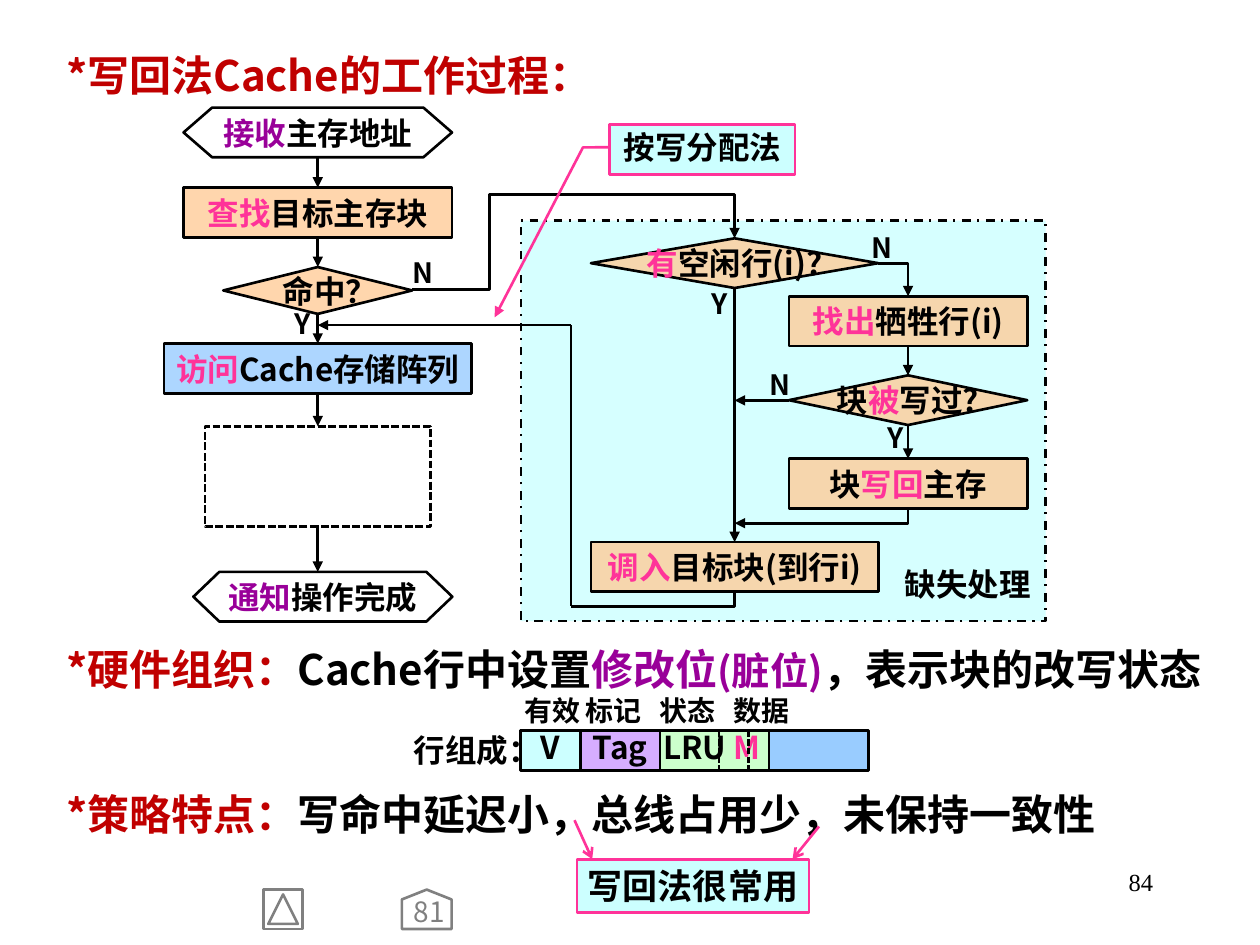
from lxml import etree
from pptx import Presentation
from pptx.dml.color import RGBColor
from pptx.enum import dml, shapes, text
from pptx.oxml.ns import qn
from pptx.util import Pt

SANS, SERIF = "Noto Sans CJK SC", "Times New Roman"
BLACK, RED, PINK, PURPLE, GREY = "000000", "C00000", "FF3399", "990099", "808080"
PEACH, CYAN, BLUE = "FFCC99", "CCFFFF", "99CCFF"
KIND, DASH, ALIGN, ANCHOR = (shapes.MSO_SHAPE, dml.MSO_LINE, text.PP_ALIGN,
                             text.MSO_ANCHOR)
TIGHT = (1.8, 0.9, 1.8, 0.9)
NORMAL = (7.2, 3.6, 7.2, 3.6)

# Shared centre lines and levels of the flowchart
HIT_X, LOAD_X, VICTIM_X = 181.6, 419.8, 518.9
RETURN_X, RETURN_Y, STEP_H = 326.3, 185.8, 28.4


def colour(value):
    return RGBColor.from_string(value)


def child(parent, tag, **attributes):
    return etree.SubElement(parent, qn(tag), attributes)


def write(holder, runs, size=18, align=ALIGN.CENTER, spacing=None, font=SANS,
          bold=True, insets=TIGHT, anchor=ANCHOR.MIDDLE, wrap=True,
          indent=None, tabs=()):
    """Fill a holder with one paragraph; runs are (text, colour[, size])."""
    frame = holder.text_frame
    frame.auto_size = text.MSO_AUTO_SIZE.NONE
    frame.word_wrap, frame.vertical_anchor = wrap, anchor
    (frame.margin_left, frame.margin_top,
     frame.margin_right, frame.margin_bottom) = map(Pt, insets)
    paragraph = frame.paragraphs[0]
    paragraph.alignment, paragraph.space_before = align, Pt(0)
    if spacing:
        paragraph.line_spacing = spacing
    properties = paragraph._p.get_or_add_pPr()
    if indent is not None:
        properties.set("marL", "0")
        properties.set("indent", str(Pt(indent)))
        child(properties, "a:buNone")
    if tabs:
        stops = child(properties, "a:tabLst")
        for stop in tabs:
            child(stops, "a:tab", pos=str(Pt(stop)), algn="l")
    paragraph.font.name, paragraph.font.size = font, Pt(size)
    paragraph.font.bold = bold
    child(paragraph.font._rPr, "a:ea", typeface=SANS)
    for words, tint, *own_size in runs:
        run = paragraph.add_run()
        run.text = words
        run.font.color.rgb = colour(tint)
        if own_size:
            run.font.size = Pt(own_size[0])


def heading(holder, top, width, runs):
    holder.left, holder.top, holder.width, holder.height = map(
        Pt, (14.4, top, width, 44))
    write(holder, runs, size=24, align=ALIGN.LEFT, spacing=1.25,
          insets=NORMAL, anchor=ANCHOR.TOP, indent=16.2)


def label(slide, left, top, width, height, words, size=16, tint=BLACK, **style):
    holder = slide.shapes.add_textbox(*map(Pt, (left, top, width, height)))
    write(holder, [(words, tint)], size=size, **style)


def box(slide, kind, left, top, width, height, fill=None, opacity=100,
        line=BLACK, weight=1.5, dash=None, runs=(), **style):
    shape = slide.shapes.add_shape(kind, *map(Pt, (left, top, width, height)))
    shape.shadow.inherit = False
    if fill:
        shape.fill.solid()
        shape.fill.fore_color.rgb = colour(fill)
        if opacity < 100:
            tint = shape.fill._xPr.find(qn("a:solidFill"))[0]
            child(tint, "a:alpha", val=str(opacity * 1000))
    else:
        shape.fill.background()
    shape.line.color.rgb, shape.line.width = colour(line), Pt(weight)
    if dash:
        shape.line.dash_style = dash
    if runs:
        write(shape, runs, **style)
    return shape


def step(slide, centre, top, width, runs, fill=PEACH, kind=KIND.RECTANGLE,
         height=STEP_H, opacity=80, **style):
    return box(slide, kind, centre - width / 2, top, width, height, fill,
               opacity, runs=runs, **style)


def decision(slide, centre, top, width, runs, **style):
    step(slide, centre, top, width, runs, kind=KIND.FLOWCHART_DECISION,
         insets=NORMAL, wrap=False, **style)


def terminal(slide, centre, top, width, runs, corner):
    shape = step(slide, centre, top, width, runs, fill=None, kind=KIND.HEXAGON,
                 insets=NORMAL, wrap=False)
    shape.adjustments[0] = corner


def arrow(slide, x1, y1, x2, y2, head="triangle", tint=BLACK, weight=1.5,
          dash=None, kind=shapes.MSO_CONNECTOR.STRAIGHT):
    connector = slide.shapes.add_connector(kind, *map(Pt, (x1, y1, x2, y2)))
    connector.line.color.rgb, connector.line.width = colour(tint), Pt(weight)
    if dash:
        connector.line.dash_style = dash
    if head:
        child(connector.line._get_or_add_ln(), "a:tailEnd", type=head)
    child(connector._element.spPr, "a:effectLst")
    return connector


def elbow(slide, x1, y1, x2, y2, preset="bentConnector2", turn=0, bends=(),
          head="triangle"):
    """Bent connector; a quarter turn swaps its unrotated sides."""
    if turn:
        cx, cy = (x1 + x2) / 2, (y1 + y2) / 2
        half_w, half_h = abs(y2 - y1) / 2, abs(x2 - x1) / 2
        x1, y1, x2, y2 = cx - half_w, cy - half_h, cx + half_w, cy + half_h
    connector = arrow(slide, x1, y1, x2, y2, head,
                      kind=shapes.MSO_CONNECTOR.ELBOW)
    properties = connector._element.spPr
    if turn:
        properties.find(qn("a:xfrm")).set("rot", str(turn * 60000))
    geometry = properties.find(qn("a:prstGeom"))
    geometry.set("prst", preset)
    guides = geometry.find(qn("a:avLst"))
    for number, bend in enumerate(bends, 1):
        child(guides, "a:gd", name=f"adj{number}",
              fmla=f"val {round(bend * 100000)}")


def miss_handling(slide):
    box(slide, KIND.RECTANGLE, 297.5, 126, 300, 229, CYAN, 80, weight=1.25,
        dash=DASH.DASH_DOT)
    decision(slide, LOAD_X, 136.2, 164.2, [("有", PINK), ("空闲行(i)?", BLACK)])
    step(slide, LOAD_X, 309.8, 164.2, [("调入", PINK), ("目标块(到行i)", BLACK)])
    step(slide, VICTIM_X, 169.3, 136.2, [("找出", PINK), ("牺牲行(i)", BLACK)])
    decision(slide, VICTIM_X, 214.5, 136.2,
             [("块", BLACK), ("被", PINK), ("写过?", BLACK)])
    step(slide, VICTIM_X, 262.2, 136.2,
         [("块", BLACK), ("写回", PINK), ("主存", BLACK)])
    for left, top, answer in ((404.6, 164.8, "Y"), (495.4, 132.5, "N"),
                              (437, 211, "N"), (505.4, 241.2, "Y")):
        label(slide, left, top, 17 if answer == "N" else 11.5, 17.5, answer)
    label(slide, 513.4, 322.6, 79.2, 22.3, "缺失处理", size=18)
    arrow(slide, LOAD_X, 164.8, LOAD_X, 309.8)
    arrow(slide, VICTIM_X, 197.7, VICTIM_X, 214.5)
    arrow(slide, VICTIM_X, 243.1, VICTIM_X, 262.2)
    arrow(slide, 450.8, 228.8, LOAD_X, 228.8)
    elbow(slide, 501.9, 150.5, VICTIM_X, 169.3)
    elbow(slide, VICTIM_X, 290.6, LOAD_X, 299, turn=90)
    # Return path to the hit branch
    elbow(slide, LOAD_X, 338.2, RETURN_X, 346.4, turn=90, head=None)
    arrow(slide, RETURN_X, RETURN_Y, RETURN_X, 346.4, head=None)
    arrow(slide, RETURN_X, RETURN_Y, HIT_X, RETURN_Y)


def hit_branch(slide):
    terminal(slide, HIT_X, 61.5, 153.4, [("接收", PURPLE), ("主存地址", BLACK)], 0.575)
    step(slide, HIT_X, 107.2, 153.4, [("查找", PINK), ("目标主存块", BLACK)])
    decision(slide, HIT_X, 152.6, 108, [("命中？", BLACK)], height=26.8,
             font=SERIF, align=ALIGN.LEFT)
    step(slide, HIT_X, 196.4, 175.8, [("访问", PINK), ("Cache存储阵列", BLACK)],
         fill=BLUE)
    step(slide, HIT_X, 243.6, 129, (), fill="FFFFFF", height=57.4, opacity=100,
         dash=DASH.SQUARE_DOT)
    terminal(slide, 184.5, 326.8, 148, [("通知", PURPLE), ("操作完成", BLACK)], 0.522)
    label(slide, 233.3, 145.4, 17.3, 23, "N", anchor=ANCHOR.TOP)
    label(slide, 164.2, 174.2, 17.3, 23, "Y", anchor=ANCHOR.TOP)
    for start, end in ((89.9, 107.2), (135.6, 152.6), (179.4, 196.4),
                       (224.8, 243.6), (301, 326.8)):
        arrow(slide, HIT_X, start, HIT_X, end)
    elbow(slide, 235.6, 165.6, LOAD_X, 136.2, preset="bentConnector4",
          bends=(0.24, 1.858))


def cache_line(slide):
    label(slide, 223.9, 417.4, 68.4, 22.8, "行组成：", size=18, align=ALIGN.RIGHT)
    label(slide, 298, 394.6, 198, 22.8, "有效\t标记\t状态\t数据",
          align=ALIGN.LEFT, tabs=(35, 77, 119.5))
    left = 297.5
    fields = ((34.2, CYAN, 100, [("V", BLACK)], ALIGN.CENTER),
              (45.4, "CC99FF", 80, [("Tag", BLACK)], ALIGN.CENTER),
              (62.3, "CCFFCC", 100, [("LRU", BLACK), (" M", PINK)], ALIGN.LEFT),
              (57, BLUE, 100, (), ALIGN.CENTER))
    for width, fill, opacity, runs, align in fields:
        box(slide, KIND.RECTANGLE, left, 417.4, width, 22.8, fill, opacity,
            runs=runs, align=align, spacing=0.8)
        left += width
    for x in (411.1, 427.7):
        arrow(slide, x, 417.4, x, 440.2, head=None, weight=1.25,
              dash=DASH.SQUARE_DOT)


def remarks(slide):
    callout = box(slide, KIND.LINE_CALLOUT_2, 348.5, 71.3, 105.8, 28.4, CYAN,
                  line=PINK, runs=[("按写分配法", BLACK)], spacing=0.9,
                  insets=(2.9, 1.4, 2.9, 1.4))
    for index, value in enumerate((0.454, 0.003, 0.457, -0.145, 3.875, -0.622)):
        callout.adjustments[index] = value
    child(callout.line._get_or_add_ln(), "a:tailEnd", type="triangle")
    box(slide, KIND.RECTANGLE, 329.8, 491, 132.5, 30.3, CYAN, line=PINK,
        runs=[("写回法很常用", BLACK)], size=20)
    arrow(slide, 328.3, 468.7, 338.4, 491, head="arrow", tint=PINK)
    arrow(slide, 468, 472.3, 452.9, 491, head="arrow", tint=PINK)


def footer(slide):
    back = box(slide, KIND.ACTION_BUTTON_BACK_OR_PREVIOUS, 150.5, 508.3, 22.5,
               22.5, line=GREY)
    back.rotation = 90
    home = box(slide, KIND.PENTAGON, 232.6, 505.4, 22.5, 28.4, line=GREY)
    home.rotation, home.adjustments[0] = 270, 0.25
    label(slide, 232.6, 514.1, 22.5, 17.3, "81", tint=GREY, bold=False,
          spacing=0.85, insets=(2.9, 0, 0, 0), anchor=ANCHOR.TOP)
    label(slide, 516.2, 491.8, 149.8, 36, "84", size=14, font=SERIF, bold=False,
          align=ALIGN.RIGHT, insets=NORMAL, anchor=ANCHOR.TOP)


def main():
    deck = Presentation()
    deck.slide_width, deck.slide_height = Pt(720), Pt(540)
    slide = deck.slides.add_slide(deck.slide_layouts[3])
    # Headings
    process, hardware, strategy = list(slide.placeholders)[:3]
    heading(process, 17.3, 686, [("*写回法Cache的工作过程：", RED)])
    heading(hardware, 357.1, 697.7,
            [("*硬件组织：", RED), ("Cache行中设置", BLACK), ("修改位", PURPLE),
             ("(脏位)", PURPLE, 22), ("，表示块的改写状态", BLACK)])
    heading(strategy, 439.9, 686,
            [("*策略特点：", RED), ("写命中延迟小，总线占用少，未保持一致性", BLACK)])
    # Flowchart, cache line layout and notes
    miss_handling(slide)
    hit_branch(slide)
    cache_line(slide)
    remarks(slide)
    footer(slide)
    deck.save("out.pptx")


if __name__ == "__main__":
    main()
